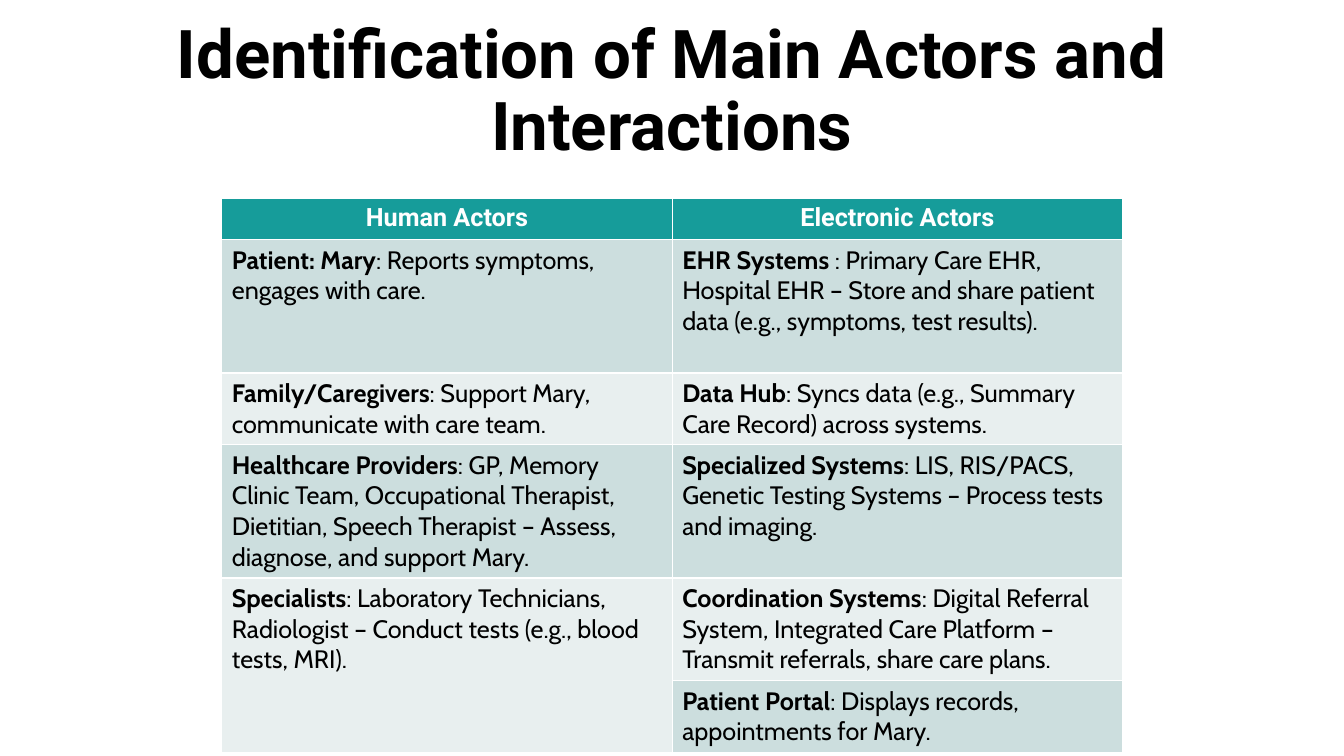
"""Build a slide with a table of human and electronic actors."""
from pptx import Presentation
from pptx.dml.color import RGBColor
from pptx.enum.text import MSO_ANCHOR, MSO_AUTO_SIZE, PP_ALIGN
from pptx.util import Cm, Pt

CENTER = PP_ALIGN.CENTER
LEFT = PP_ALIGN.LEFT
MIDDLE = MSO_ANCHOR.MIDDLE
NO_AUTOFIT = MSO_AUTO_SIZE.NONE

BLACK = RGBColor(0x00, 0x00, 0x00)
WHITE = RGBColor(0xFF, 0xFF, 0xFF)
TEAL = RGBColor(0x16, 0x9C, 0x9A)
BANDS = [RGBColor(0xE8, 0xEF, 0xEF), RGBColor(0xCC, 0xDE, 0xDE)]

TITLE_FONT = {"name": "Roboto", "size": Pt(48), "bold": True}
HEADER_FONT = {"name": "Roboto", "size": Pt(18), "bold": True}
ACTOR_FONT = {"name": "Cabin", "size": Pt(18), "bold": True}
ROLE_FONT = {"name": "Cabin", "size": Pt(18), "bold": False}

HEADERS = ["Human Actors", "Electronic Actors"]
HUMAN_ACTORS = [
    ("Patient: Mary", ": Reports symptoms, engages with care."),
    ("Family/Caregivers", ": Support Mary, communicate with care team."),
    ("Healthcare Providers", ": GP, Memory Clinic Team, Occupational Therapist, "
     "Dietitian, Speech Therapist – Assess, diagnose, and support Mary."),
    ("Specialists", ": Laboratory Technicians, Radiologist – Conduct tests "
     "(e.g., blood tests, MRI)."),
]
ELECTRONIC_ACTORS = [
    ("EHR Systems ", ": Primary Care EHR, Hospital EHR – Store and share patient "
     "data (e.g., symptoms, test results)."),
    ("Data Hub", ": Syncs data (e.g., Summary Care Record) across systems."),
    ("Specialized Systems", ": LIS, RIS/PACS, Genetic Testing Systems – "
     "Process tests and imaging."),
    ("Coordination Systems", ": Digital Referral System, Integrated Care Platform – "
     "Transmit referrals, share care plans."),
    ("Patient Portal", ": Displays records, appointments for Mary."),
]
ROW_HEIGHTS = [1.04, 3.36, 1.8, 3.36, 2.59, 1.8]


def add_run(paragraph, text, font_format, color):
    run = paragraph.add_run()
    run.text = text
    for attribute, value in font_format.items():
        setattr(run.font, attribute, value)
    run.font.color.rgb = color


prs = Presentation()
prs.slide_width = Cm(33.87)
prs.slide_height = Cm(19.05)
slide = prs.slides.add_slide(prs.slide_layouts[5])

title = slide.shapes.title
title_box = {"left": Cm(2.33), "top": Cm(1.37), "width": Cm(29.21), "height": Cm(3.78)}
for attribute, value in title_box.items():
    setattr(title, attribute, value)
title_frame = {"word_wrap": True, "auto_size": NO_AUTOFIT,
               "vertical_anchor": MIDDLE, "margin_bottom": Cm(1.98)}
for attribute, value in title_frame.items():
    setattr(title.text_frame, attribute, value)
heading = title.text_frame.paragraphs[0]
heading.alignment = CENTER
heading.line_spacing = 0.9
add_run(heading, "Identification of Main Actors and Interactions", TITLE_FONT, BLACK)

actors = slide.shapes.add_table(
    len(ROW_HEIGHTS), len(HEADERS), Cm(5.59), Cm(5), Cm(22.7), Cm(sum(ROW_HEIGHTS))
).table
for row, height in zip(actors.rows, ROW_HEIGHTS):
    row.height = Cm(height)

for column, (header, group) in enumerate(zip(HEADERS, [HUMAN_ACTORS, ELECTRONIC_ACTORS])):
    header_cell = actors.cell(0, column)
    header_cell.fill.solid()
    header_cell.fill.fore_color.rgb = TEAL
    header_line = header_cell.text_frame.paragraphs[0]
    header_line.alignment = CENTER
    add_run(header_line, header, HEADER_FONT, WHITE)
    for row_number, (actor, role) in enumerate(group, start=1):
        actor_cell = actors.cell(row_number, column)
        actor_cell.fill.solid()
        actor_cell.fill.fore_color.rgb = BANDS[row_number % 2]
        actor_line = actor_cell.text_frame.paragraphs[0]
        actor_line.alignment = LEFT
        add_run(actor_line, actor, ACTOR_FONT, BLACK)
        add_run(actor_line, role, ROLE_FONT, BLACK)

actors.cell(4, 0).merge(actors.cell(5, 0))

prs.save("out.pptx")
